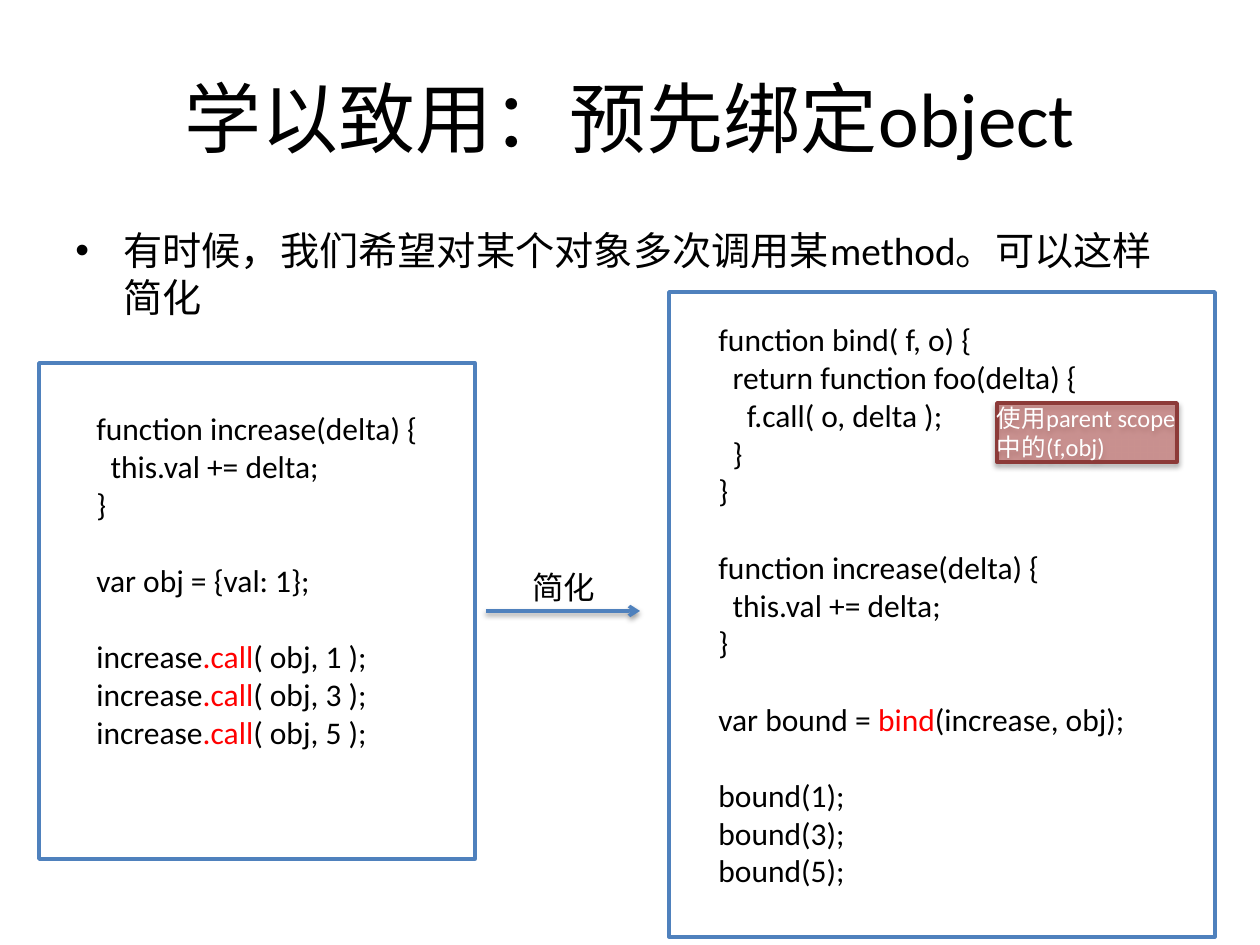
from dataclasses import dataclass

from lxml import etree
from pptx import Presentation, util as u
from pptx.dml.color import RGBColor
from pptx.enum import shapes, text
from pptx.oxml.ns import qn

PX = u.Inches(1) / 126


@dataclass(frozen=True)
class Theme:
    font: str = "Calibri"
    ink: str = "000000"
    paper: str = "FFFFFF"
    blue: str = "4F81BD"
    accent: str = "FF0000"
    note_fill: str = "C0504D"
    note_line: str = "8C3A38"
    title_size: float = 44
    body_size: float = 22.4
    code_size: float = 18
    note_size: float = 14
    line_width: float = 2


THEME = Theme()

# Pieces between bars are highlighted; an empty line becomes a gap.
CALL_CODE = """\
function increase(delta) {
  this.val += delta;
}

var obj = {val: 1};

increase|.call|( obj, 1 );
increase|.call|( obj, 3 );
increase|.call|( obj, 5 );"""

BIND_CODE = """\
function bind( f, o) {
  return function foo(delta) {
    f.call( o, delta );
  }
}

function increase(delta) {
  this.val += delta;
}

var bound = |bind|(increase, obj);

bound(1);
bound(3);
bound(5);"""


def px(*lengths):
    return [round(length * PX) for length in lengths]


def colour(value):
    return RGBColor.from_string(value)


def style(para, size, ink=THEME.ink):
    para.font.name = THEME.font
    para.font.size = u.Pt(size)
    para.font.color.rgb = colour(ink)


def add_text(page, area, words, size, anchor=text.MSO_ANCHOR.TOP, wrap=True):
    box = page.shapes.add_textbox(*px(*area))
    box.text_frame.word_wrap = wrap
    box.text_frame.vertical_anchor = anchor
    para = box.text_frame.paragraphs[0]
    para.text = words
    style(para, size)
    return para


def add_bullet(page, area, words):
    para = add_text(page, area, words, THEME.body_size)
    props = para._p.get_or_add_pPr()
    indent = u.Inches(0.38)
    props.set("marL", str(indent))
    props.set("indent", str(-indent))
    bullet = etree.Element(qn("a:buChar"), char="•")
    props.insert(0, bullet)
    bullet_font = etree.Element(qn("a:buFont"), typeface="Arial")
    props.insert(0, bullet_font)


def add_code(page, area, code):
    box = page.shapes.add_textbox(*px(*area))
    frame = box.text_frame
    frame.word_wrap = True
    for block_number, block in enumerate(code.split("\n\n")):
        for line_number, line in enumerate(block.split("\n")):
            first = block_number == line_number == 0
            para = frame.paragraphs[0] if first else frame.add_paragraph()
            style(para, THEME.code_size)
            if block_number and not line_number:
                para.space_before = u.Pt(22)
            for number, piece in enumerate(line.split("|")):
                span = para.add_run()
                span.text = piece
                if number % 2:
                    span.font.color.rgb = colour(THEME.accent)


def add_rectangle(page, area, fill, line):
    box = page.shapes.add_shape(shapes.MSO_SHAPE.RECTANGLE, *px(*area))
    box.shadow.inherit = False
    box.fill.solid()
    box.fill.fore_color.rgb = colour(fill)
    box.line.color.rgb = colour(line)
    box.line.width = u.Pt(THEME.line_width)
    return box


def add_shadow(props, distance, opacity):
    effects = props.find(qn("a:effectLst"))
    if effects is None:
        effects = etree.SubElement(props, qn("a:effectLst"))
    shadow = etree.SubElement(
        effects, qn("a:outerShdw"), blurRad=str(u.Pt(3)),
        dist=str(u.Pt(distance)), dir="5400000", rotWithShape="0")
    tint = etree.SubElement(shadow, qn("a:srgbClr"), val=THEME.ink)
    etree.SubElement(tint, qn("a:alpha"), val=str(opacity * 1000))


def add_arrow(page, start_x, end_x, y):
    arrow = page.shapes.add_connector(
        shapes.MSO_CONNECTOR.STRAIGHT, *px(start_x, y, end_x, y))
    arrow.line.color.rgb = colour(THEME.blue)
    arrow.line.width = u.Pt(THEME.line_width)
    etree.SubElement(arrow.line._get_or_add_ln(), qn("a:tailEnd"), type="arrow")
    add_shadow(arrow._element.spPr, distance=1.6, opacity=38)


def add_note(page, area, words):
    note = add_rectangle(page, area, THEME.note_fill, THEME.note_line)
    props = note._element.spPr
    tint = props.find(qn("a:solidFill")).find(qn("a:srgbClr"))
    etree.SubElement(tint, qn("a:alpha"), val="50000")
    add_shadow(props, distance=1.8, opacity=35)
    frame = note.text_frame
    frame.margin_left = frame.margin_right = 0
    frame.margin_top = frame.margin_bottom = 0
    frame.word_wrap = True
    frame.vertical_anchor = text.MSO_ANCHOR.TOP
    para = frame.paragraphs[0]
    para.text = words
    para.alignment = text.PP_ALIGN.LEFT
    style(para, THEME.note_size, THEME.paper)


def main():
    deck = Presentation()
    deck.slide_width, deck.slide_height = px(1260, 945)
    page = deck.slides.add_slide(deck.slide_layouts[6])

    # Heading and lead sentence
    title = add_text(page, (63, 38, 1134, 157), "学以致用：预先绑定object",
                     THEME.title_size, text.MSO_ANCHOR.MIDDLE)
    title.alignment = text.PP_ALIGN.CENTER
    add_bullet(page, (63, 220, 1102, 93),
               "有时候，我们希望对某个对象多次调用某method。可以这样简化")

    # Repeated calls
    add_rectangle(page, (39, 363, 436, 496), THEME.paper, THEME.blue)
    add_code(page, (84, 403, 367, 394), CALL_CODE)

    # Simplification step
    add_arrow(page, 486, 640, 611)

    # Bound function with its note
    add_rectangle(page, (669, 292, 546, 645), THEME.paper, THEME.blue)
    add_code(page, (706, 314, 470, 585), BIND_CODE)
    add_note(page, (997, 403, 180, 59), "使用parent scope中的(f,obj)")

    add_text(page, (520, 562, 89, 50), "简化", THEME.code_size, wrap=False)

    deck.save("out.pptx")


if __name__ == "__main__":
    main()
